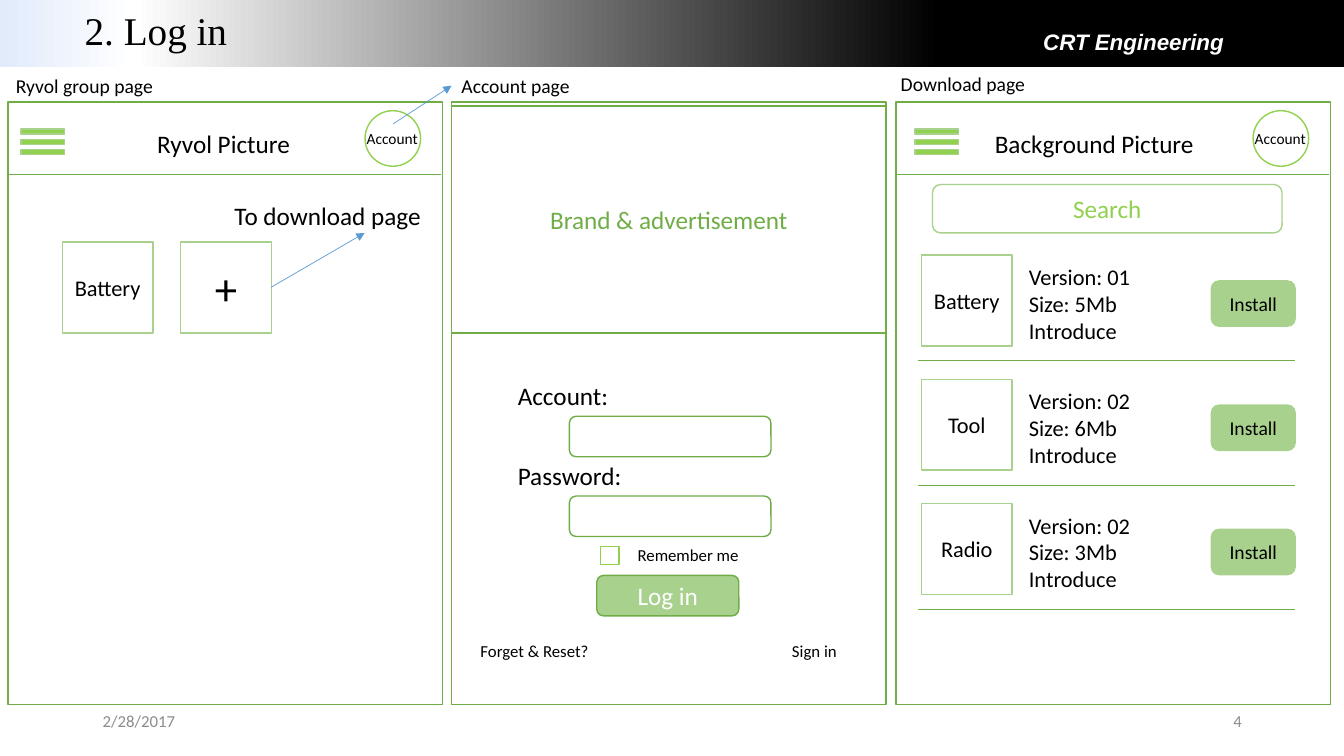
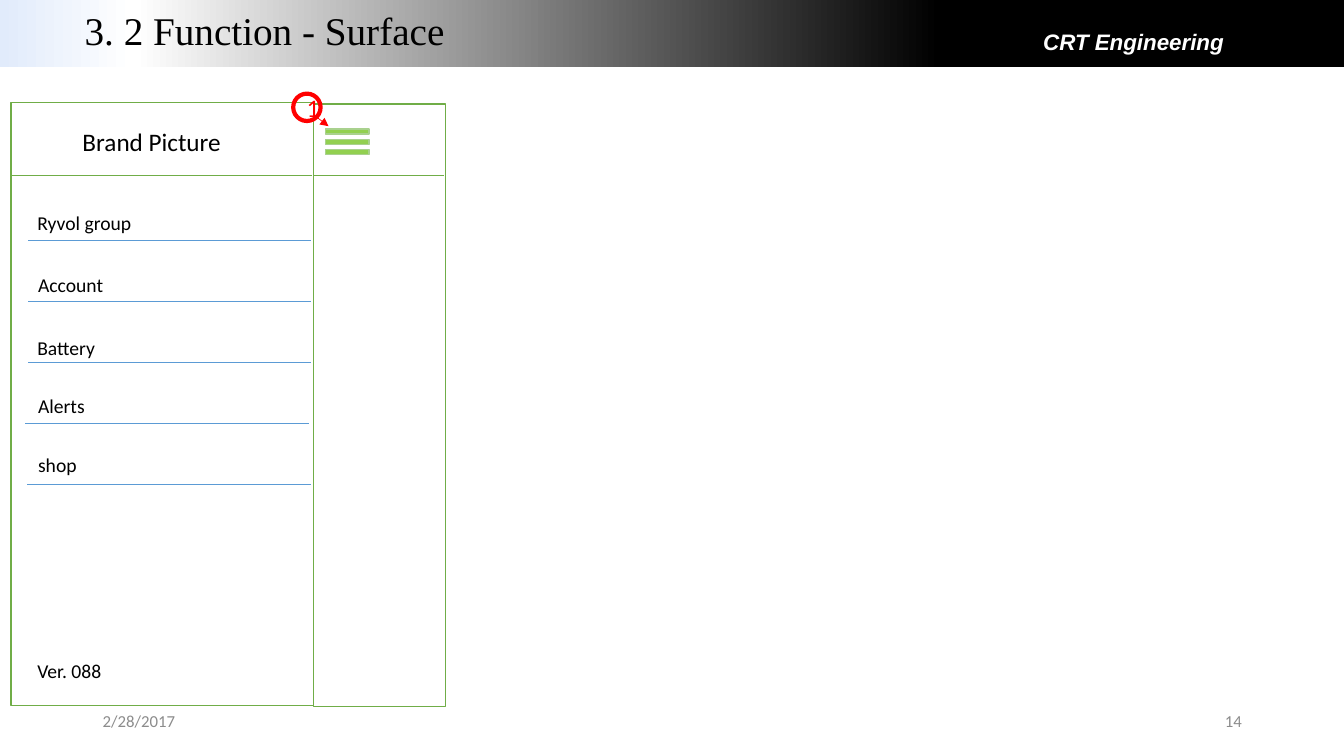
from dataclasses import dataclass

from pptx import Presentation
from pptx.dml.color import RGBColor
from pptx.enum.shapes import MSO_CONNECTOR, MSO_SHAPE
from pptx.enum.text import MSO_ANCHOR, MSO_AUTO_SIZE, PP_ALIGN
from pptx.oxml import parse_xml
from pptx.oxml.ns import nsdecls, qn
from pptx.util import Cm, Pt

RECT, ROUND, OVAL = MSO_SHAPE.RECTANGLE, MSO_SHAPE.ROUNDED_RECTANGLE, MSO_SHAPE.OVAL
LEFT, CENTER, RIGHT = PP_ALIGN.LEFT, PP_ALIGN.CENTER, PP_ALIGN.RIGHT
TOP, MIDDLE = MSO_ANCHOR.TOP, MSO_ANCHOR.MIDDLE

COLORS = {
    "black": "000000", "white": "FFFFFF", "ice": "E1EBFB", "gray": "8C8C8C",
    "green": "70AD47", "soft": "A9D18E", "lime": "92D050",
    "blue": "5B9BD5", "red": "FF0000",
}
BAND_STOPS = [(0, "ice"), (10, "white"), (70, "black")]
SLIDE_W, SLIDE_H = 33.87, 19.05
PANEL_TOP, PANEL_W, PANEL_H = 2.57, 10.95, 15.19
TILE = 2.29


@dataclass
class Box:
    """Left, top, width and height in centimetres."""
    x: float
    y: float
    w: float
    h: float


@dataclass
class Label:
    text: str
    box: Box
    size: int = 14


@dataclass
class App:
    name: str
    version: str
    size: str


@dataclass
class MenuItem:
    label: Label
    line_x: float


APPS = [App("Battery", "01", "5Mb"), App("Tool", "02", "6Mb"), App("Radio", "02", "3Mb")]

LOGIN_LABELS = [
    Label("Ryvol group page", Box(0.15, 1.73, 4.04, 0.86)),
    Label("Account page", Box(11.38, 1.73, 3.28, 0.86)),
    Label("Download page", Box(22.45, 1.68, 3.68, 0.86)),
    Label("Ryvol Picture", Box(3.71, 3.1, 3.94, 1.02), 18),
    Label("Background Picture", Box(24.82, 3.1, 5.59, 1.02), 18),
    Label("To download page", Box(5.66, 4.93, 5.26, 1.02), 18),
    Label("Account:", Box(12.8, 9.45, 2.82, 1.02), 18),
    Label("Password:", Box(12.8, 11.48, 3.15, 1.02), 18),
    Label("Remember me", Box(15.82, 13.61, 3.1, 0.76), 12),
    Label("Forget & Reset?", Box(11.86, 16.03, 3.28, 0.76), 12),
    Label("Sign in", Box(19.71, 16.03, 1.65, 0.76), 12),
]

MENU = [
    MenuItem(Label("Ryvol group", Box(0.69, 5.18, 2.95, 0.86)), 0.71),
    MenuItem(Label("Account", Box(0.71, 6.76, 2.29, 0.86)), 0.71),
    MenuItem(Label("Battery", Box(0.69, 8.33, 2.01, 0.86)), 0.71),
    MenuItem(Label("Alerts", Box(0.71, 9.8, 1.7, 0.86)), 0.64),
    MenuItem(Label("shop", Box(0.71, 11.28, 1.5, 0.86)), 0.69),
]


# Basic parts
def rgb(color: str) -> RGBColor:
    return RGBColor.from_string(COLORS[color])


def style_text(tf, text: str, size: int, color: str = "black", align=LEFT,
               anchor=TOP, font: str = "Calibri") -> None:
    tf.text = text
    tf.vertical_anchor = anchor
    for p in tf.paragraphs:
        p.alignment = align
        for r in p.runs:
            r.font.name, r.font.size = font, Pt(size)
            r.font.color.rgb = rgb(color)


def add_box(shapes, box: Box, line: str = "green", fill: str = "", kind=RECT,
            text: str = "", size: int = 18, color: str = "black", weight: float = 1):
    sp = shapes.add_shape(kind, Cm(box.x), Cm(box.y), Cm(box.w), Cm(box.h))
    sp.shadow.inherit = False
    if fill:
        sp.fill.solid()
        sp.fill.fore_color.rgb = rgb(fill)
    else:
        sp.fill.background()
    if line:
        sp.line.color.rgb = rgb(line)
        sp.line.width = Pt(weight)
    else:
        sp.line.fill.background()
    if text:
        style_text(sp.text_frame, text, size, color, CENTER, MIDDLE)
    return sp


def add_text(shapes, label: Label, color: str = "black", align=LEFT,
             anchor=TOP, grow: bool = True, font: str = "Calibri"):
    b = label.box
    sp = shapes.add_textbox(Cm(b.x), Cm(b.y), Cm(b.w), Cm(b.h))
    tf = sp.text_frame
    style_text(tf, label.text, label.size, color, align, anchor, font)
    tf.word_wrap = not grow
    tf.auto_size = MSO_AUTO_SIZE.SHAPE_TO_FIT_TEXT if grow else MSO_AUTO_SIZE.NONE
    return sp


def add_line(shapes, x1: float, y1: float, x2: float, y2: float,
             color: str = "green", arrow: bool = False) -> None:
    ln = shapes.add_connector(MSO_CONNECTOR.STRAIGHT, Cm(x1), Cm(y1), Cm(x2), Cm(y2))
    ln.line.color.rgb = rgb(color)
    ln.line.width = Pt(0.5)
    if arrow:
        ln.line._get_or_add_ln().append(
            parse_xml(f'<a:tailEnd {nsdecls("a")} type="triangle"/>'))
    ln.element.spPr.append(parse_xml(f'<a:effectLst {nsdecls("a")}/>'))


# Parts shared by the app screens
def add_menu_icon(s, x: float) -> None:
    group = s.shapes.add_group_shape()
    for i in range(3):
        add_box(group.shapes, Box(x, 3.25 + 0.26 * i, 1.1, 0.13), "soft", "lime")


def add_account_badge(s, panel_x: float) -> None:
    group = s.shapes.add_group_shape()
    add_box(group.shapes, Box(panel_x + 9, 2.79, 1.4, 1.4), "lime", kind=OVAL)
    add_text(group.shapes, Label("Account", Box(panel_x + 8.79, 3.12, 1.8, 0.74), 11))


def add_tile(s, x: float, y: float, text: str, size: int = 16) -> None:
    add_box(s.shapes, Box(x, y, TILE, TILE), "soft", text=text, size=size)


def add_panel(s, x: float, y: float, w: float, line_y: float = 0) -> None:
    add_box(s.shapes, Box(x, y, w, PANEL_H))
    if line_y:
        add_line(s.shapes, x, line_y, x + w - 0.03, line_y)


# Slide frame
def add_band(s, layout) -> None:
    """Build the header band and place it behind everything on the layout."""
    band = add_box(s.shapes, Box(0, 0, SLIDE_W, 1.7), line="")
    band.fill.gradient()
    band.fill.gradient_angle = 0
    stops = band.element.spPr.find(".//" + qn("a:gsLst"))
    stops.clear()
    for pos, color in BAND_STOPS:
        stops.append(parse_xml(
            f'<a:gs {nsdecls("a")} pos="{pos * 1000}">'
            f'<a:srgbClr val="{COLORS[color]}"/></a:gs>'))
    name = add_text(s.shapes, Label("CRT Engineering", Box(26.04, 0.58, 5.11, 0.94), 16),
                    "white", font="Arial")
    font = name.text_frame.paragraphs[0].runs[0].font
    font.bold = font.italic = True
    for i, sp in enumerate((band, name)):
        layout.shapes.element.insert(2 + i, sp.element)


def add_slide(prs, layout, title: str, number: str):
    s = prs.slides.add_slide(layout)
    sp = s.shapes.title
    sp.left, sp.top, sp.width, sp.height = Cm(1.88), Cm(0), Cm(29.21), Cm(1.63)
    style_text(sp.text_frame, title, 28, anchor=MIDDLE, font="Times New Roman")
    sp.text_frame.paragraphs[0].line_spacing = 0.9
    for text, x, align in (("2/28/2017", 2.34, LEFT), (number, 23.93, RIGHT)):
        add_text(s.shapes, Label(text, Box(x, 17.65, 7.62, 1.02), 12),
                 "gray", align, MIDDLE, grow=False)
    return s


# Slides
def build_login(s) -> None:
    group_x, account_x, download_x = 0.2, 11.38, 22.58

    # Download page
    add_panel(s, download_x, PANEL_TOP, PANEL_W, 4.39)
    add_menu_icon(s, 23.06)
    add_account_badge(s, download_x)
    add_box(s.shapes, Box(23.5, 4.65, 8.81, 1.22), "soft", "white", ROUND,
            "Search", color="lime")
    for i, app in enumerate(APPS):
        y = 6.43 + 3.13 * i
        add_tile(s, 23.22, y, app.name)
        details = f"Version: {app.version}\nSize: {app.size}\nIntroduce"
        add_text(s.shapes, Label(details, Box(25.68, y + 0.08, 3.1, 2.31), 16))
        add_box(s.shapes, Box(30.53, y + 0.65, 2.11, 1.14), "soft", "soft", ROUND,
                "Install", 14)
        add_line(s.shapes, 23.14, y + 2.66, 32.64, y + 2.66)

    # Account page
    add_panel(s, account_x, PANEL_TOP, PANEL_W)
    add_box(s.shapes, Box(account_x, 2.67, PANEL_W, 5.72),
            text="Brand & advertisement", color="green")
    for y in (10.49, 12.5):
        add_box(s.shapes, Box(14.35, y, 5.08, 1.02), kind=ROUND)
    add_box(s.shapes, Box(15.04, 14.5, 3.58, 1.02), "green", "soft", ROUND,
            "Log in", color="white")
    add_box(s.shapes, Box(15.14, 13.77, 0.46, 0.46), "lime")

    # Group page
    add_panel(s, group_x, PANEL_TOP, PANEL_W, 4.39)
    add_menu_icon(s, 0.53)
    add_account_badge(s, group_x)
    add_tile(s, 1.57, 6.1, "Battery")
    add_tile(s, 4.55, 6.1, "+", 32)

    # Labels and arrows between pages
    for label in LOGIN_LABELS:
        add_text(s.shapes, label)
    add_line(s.shapes, 9.91, 3.12, 11.38, 2.16, "blue", arrow=True)
    add_line(s.shapes, 6.83, 7.24, 9.19, 5.87, "blue", arrow=True)


def build_surface(s) -> None:
    # Page behind and side menu
    add_panel(s, 7.9, 2.62, 3.33, 4.42)
    add_menu_icon(s, 8.2)
    add_panel(s, 0.28, 2.59, 7.62, 4.42)
    add_text(s.shapes, Label("Brand Picture", Box(1.83, 3.05, 4.04, 1.02), 18))
    for i, item in enumerate(MENU):
        y = 6.05 + 1.54 * i
        add_text(s.shapes, item.label)
        add_line(s.shapes, item.line_x, y, item.line_x + 7.14, y, "blue")
    add_text(s.shapes, Label("Ver. 088", Box(0.69, 16.48, 2.13, 0.86)))

    # Numbered callout
    group = s.shapes.add_group_shape()
    add_box(group.shapes, Box(7.39, 2.36, 0.69, 0.69), "red", kind=OVAL,
            text="1", color="red", weight=3)
    add_line(group.shapes, 7.98, 2.95, 8.28, 3.18, "red", arrow=True)


def main() -> None:
    prs = Presentation()
    prs.slide_width, prs.slide_height = Cm(SLIDE_W), Cm(SLIDE_H)
    layout = prs.slide_layouts[5]
    login = add_slide(prs, layout, "2. Log in", "4")
    add_band(login, layout)
    build_login(login)
    build_surface(add_slide(prs, layout, "3. 2 Function - Surface", "14"))
    prs.save("out.pptx")


if __name__ == "__main__":
    main()
